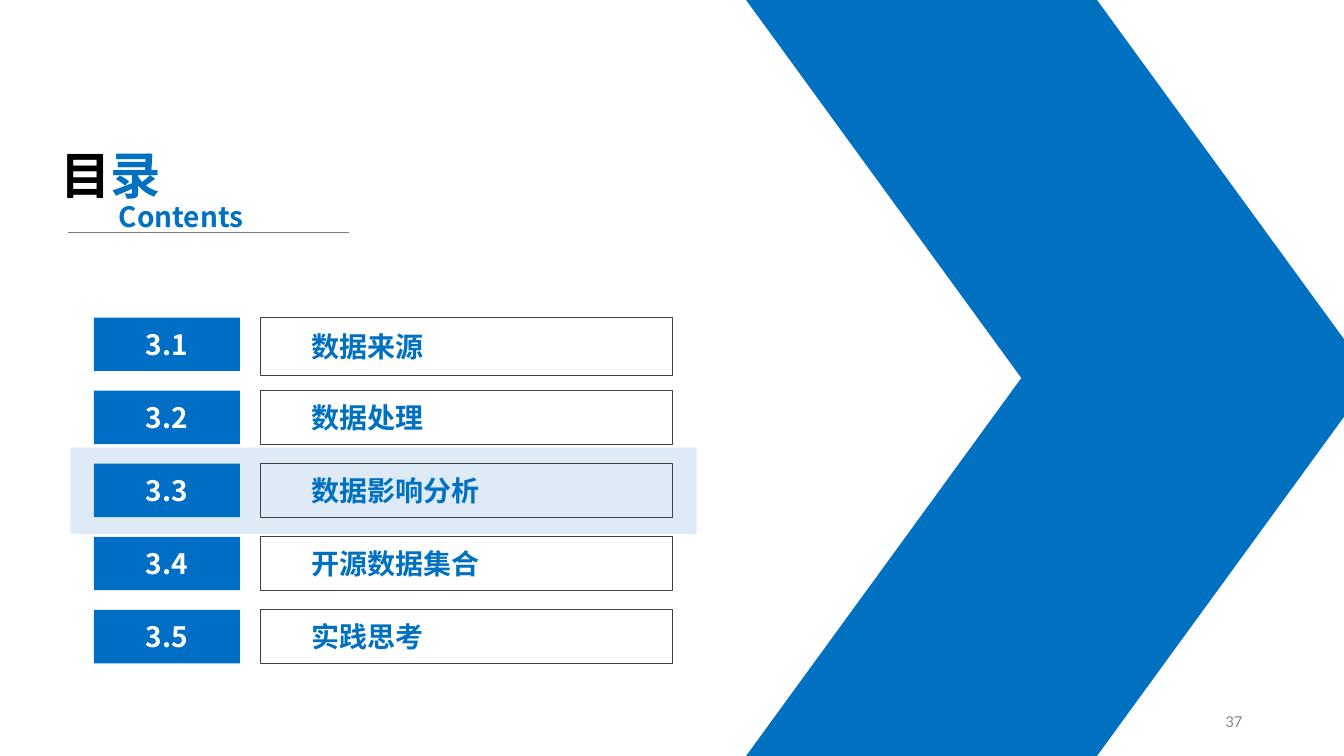
import dataclasses

import lxml.etree
import pptx
import pptx.dml.color
import pptx.enum.shapes
import pptx.enum.text
import pptx.oxml.ns
import pptx.util

ALIGN = pptx.enum.text.PP_ALIGN
ANCHOR = pptx.enum.text.MSO_ANCHOR
SHAPE = pptx.enum.shapes.MSO_SHAPE
SLIDE_WIDTH = pptx.util.Inches(13.33)
SLIDE_HEIGHT = pptx.util.Inches(7.5)


@dataclasses.dataclass(frozen=True)
class Theme:
    blue: str = "0070C0"
    number_blue: str = "006EC5"
    highlight: str = "DEEBF7"
    outline: str = "404040"
    rule: str = "7F7F7F"
    muted: str = "898989"
    black: str = "000000"
    white: str = "FFFFFF"
    font: str = "Noto Sans CJK SC"
    number_font: str = "Calibri"
    title_size: int = 36
    body_size: int = 20
    page_size: int = 12


THEME = Theme()
SECTIONS = ["数据来源", "数据处理", "数据影响分析", "开源数据集合", "实践思考"]
FIRST_ROW = 42
ROW_STEP = 9.67
ROW_HEIGHT = 7.07
FIRST_LABEL_HEIGHT = 7.73


def across(percent):
    return round(SLIDE_WIDTH * percent / 100)


def down(percent):
    return round(SLIDE_HEIGHT * percent / 100)


def area(left, top, width, height):
    return across(left), down(top), across(width), down(height)


def rgb(color):
    return pptx.dml.color.RGBColor.from_string(color)


def write_text(shape, text, color=THEME.blue, size=THEME.body_size, font=THEME.font,
               bold=True, align=ALIGN.LEFT, anchor=ANCHOR.TOP, indent=None):
    frame = shape.text_frame
    frame.word_wrap = True
    frame.auto_size = pptx.enum.text.MSO_AUTO_SIZE.NONE
    frame.vertical_anchor = anchor
    if indent is not None:
        frame.margin_left = across(indent)
    paragraph = frame.paragraphs[0]
    paragraph.alignment = align
    run = paragraph.add_run()
    run.text = text
    run.font.name = font
    run.font.size = pptx.util.Pt(size)
    run.font.bold = bold
    run.font.color.rgb = rgb(color)
    east_asian = lxml.etree.SubElement(run.font._element, pptx.oxml.ns.qn("a:ea"))
    east_asian.set("typeface", font)


def add_block(slide, bounds, kind=SHAPE.RECTANGLE, fill=None, line=None):
    shape = slide.shapes.add_shape(kind, *bounds)
    shape.shadow.inherit = False
    if fill:
        shape.fill.solid()
        shape.fill.fore_color.rgb = rgb(fill)
    else:
        shape.fill.background()
    if line:
        shape.line.color.rgb = rgb(line)
        shape.line.width = pptx.util.Pt(0.75)
    else:
        shape.line.fill.background()
    return shape


def add_text(slide, bounds, text, **text_format):
    write_text(slide.shapes.add_textbox(*bounds), text, **text_format)


def add_rule(slide, left, right, top):
    rule = slide.shapes.add_connector(
        pptx.enum.shapes.MSO_CONNECTOR.STRAIGHT,
        across(left), down(top), across(right), down(top))
    rule.line.color.rgb = rgb(THEME.rule)
    rule.line.width = pptx.util.Pt(0.5)
    lxml.etree.SubElement(rule._element.spPr, pptx.oxml.ns.qn("a:effectLst"))


def add_chevron(slide):
    for top, flipped in ((50, False), (0, True)):
        half = add_block(slide, area(55.51, top, 46.59, 50),
                         SHAPE.PARALLELOGRAM, fill=THEME.blue)
        half.adjustments[0] = 0.728
        if flipped:
            half._element.spPr.xfrm.set("flipV", "1")


def add_heading(slide):
    title = slide.shapes.title
    title.left, title.top, title.width, title.height = area(3.75, 18.4, 11.78, 9.47)
    write_text(title, "目", color=THEME.black, size=THEME.title_size)
    write_text(title, "录", size=THEME.title_size)
    add_rule(slide, 5.03, 25.96, 30.8)
    add_text(slide, area(8.1, 25.73, 11.78, 5.87), "Contents")


def add_section(slide, index, name):
    top = FIRST_ROW + index * ROW_STEP
    label_height = ROW_HEIGHT if index else FIRST_LABEL_HEIGHT
    label = add_block(slide, area(19.4, top, 30.61, label_height), line=THEME.outline)
    write_text(label, name, anchor=ANCHOR.MIDDLE, indent=3.75)
    number = add_block(slide, area(6.98, top, 10.88, ROW_HEIGHT), fill=THEME.number_blue)
    write_text(number, f"3.{index + 1}", color=THEME.white,
               align=ALIGN.CENTER, anchor=ANCHOR.MIDDLE)


def main():
    presentation = pptx.Presentation()
    presentation.slide_width = SLIDE_WIDTH
    presentation.slide_height = SLIDE_HEIGHT
    slide = presentation.slides.add_slide(presentation.slide_layouts.get_by_name("Title Only"))
    add_block(slide, area(5.25, 59.2, 46.59, 11.47), fill=THEME.highlight)
    add_chevron(slide)
    add_heading(slide)
    for index, name in enumerate(SECTIONS):
        add_section(slide, index, name)
    add_text(slide, area(70.67, 92.67, 22.51, 5.33), "37", color=THEME.muted,
             size=THEME.page_size, font=THEME.number_font, bold=False,
             align=ALIGN.RIGHT, anchor=ANCHOR.MIDDLE)
    presentation.save("out.pptx")


if __name__ == "__main__":
    main()
